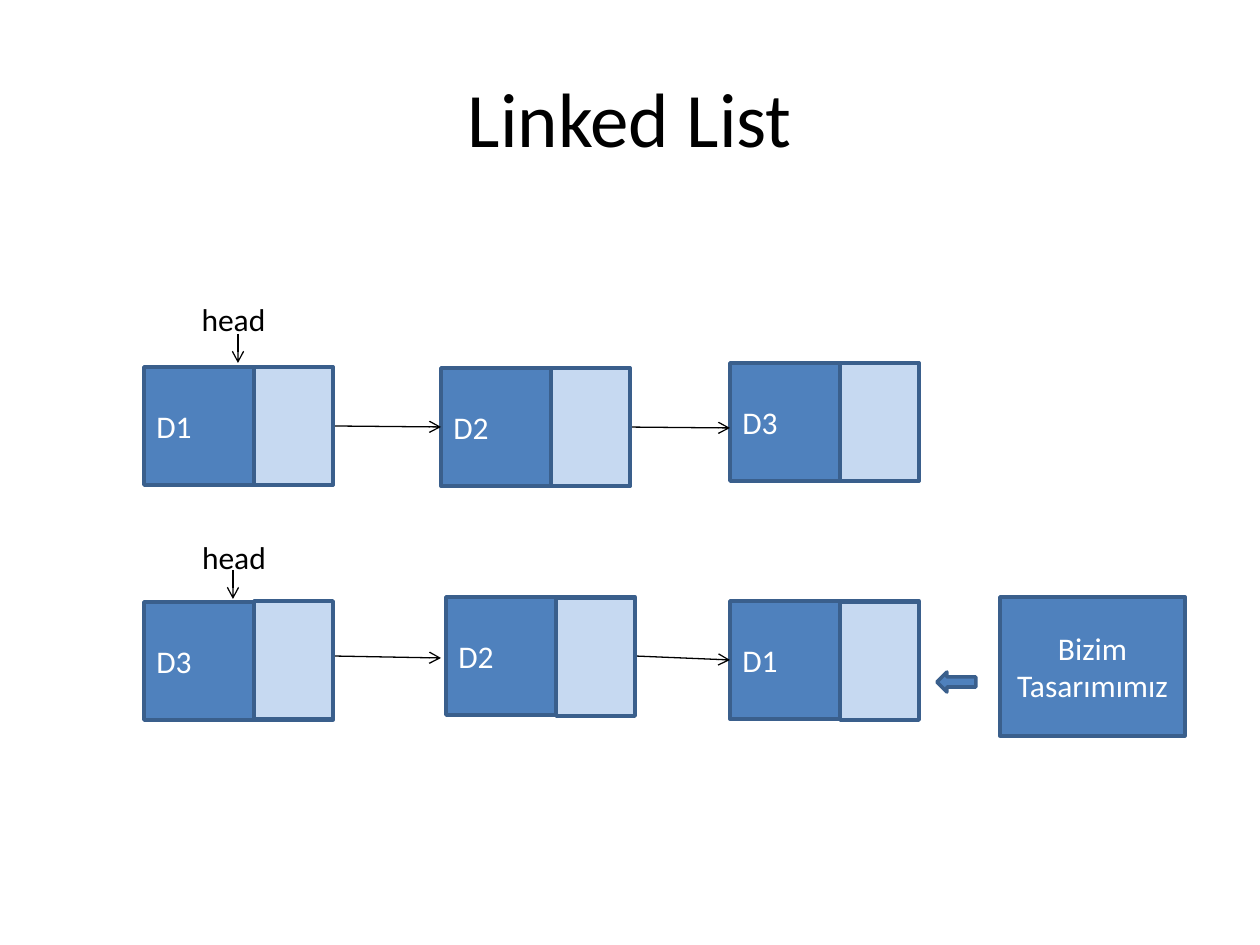
from dataclasses import dataclass
from lxml.etree import SubElement as Sub
from pptx import Presentation
from pptx.dml.color import RGBColor as Rgb
from pptx.enum.shapes import MSO_CONNECTOR as Wire, MSO_SHAPE as Kind
from pptx.enum.text import MSO_ANCHOR as Anchor, PP_ALIGN as Align
from pptx.oxml.ns import qn
from pptx.util import Pt

UNIT = 914400 / 126
NODE_W, NODE_H = 189, 118
LINK_X, LINK_W = 110, 79


@dataclass(frozen=True)
class Theme:
    font: str = "Calibri"
    node: str = "4F81BD"
    link: str = "C6D9F1"
    edge: str = "3A5F8C"
    light: str = "FFFFFF"
    dark: str = "000000"
    title: int = 44
    text: int = 18
    rule: float = 2
    wire: float = 0.75


LOOK = Theme()


def px(*vals):
    return [round(val * UNIT) for val in vals]


def put(item, form):
    for key, val in form.items():
        setattr(item, key, val)


def place(item, box):
    put(item, dict(zip(("left", "top", "width", "height"), px(*box))))


def write(frame, text, size, tint, align):
    put(frame, {"text": text, "word_wrap": True, "vertical_anchor": Anchor.MIDDLE})
    para = frame.paragraphs[0]
    para.alignment = align
    font = para.runs[0].font
    put(font, {"name": LOOK.font, "size": Pt(size)})
    font.color.rgb = Rgb.from_string(tint)


def add_title(slide, text, box):
    title = slide.shapes.title
    place(title, box)
    write(title.text_frame, text, LOOK.title, LOOK.dark, Align.CENTER)


def add_box(slide, box, fill=LOOK.node, edge=LOOK.edge, text="",
            tint=LOOK.light, align=Align.CENTER, kind=Kind.RECTANGLE):
    shape = slide.shapes.add_shape(kind, *px(*box))
    shape.shadow.inherit = False
    shape.fill.solid()
    shape.fill.fore_color.rgb = Rgb.from_string(fill)
    shape.line.color.rgb = Rgb.from_string(edge)
    shape.line.width = Pt(LOOK.rule)
    if text:
        write(shape.text_frame, text, LOOK.text, tint, align)
    return shape


def add_wire(slide, ends, start=None, stop=None):
    wire = slide.shapes.add_connector(Wire.STRAIGHT, *px(*ends))
    wire.line.color.rgb = Rgb.from_string(LOOK.dark)
    wire.line.width = Pt(LOOK.wire)
    Sub(wire.line._get_or_add_ln(), qn("a:tailEnd"), type="arrow")
    Sub(wire._element.spPr, qn("a:effectLst"))
    if start:
        wire.begin_connect(start, 3)
    if stop:
        wire.end_connect(stop, 1)


def add_list(slide, nodes, joined, loose):
    boxes = [add_box(slide, (x, y, NODE_W, NODE_H), text=name, align=Align.LEFT)
             for name, x, y, _ in nodes]
    _, left, top, _ = nodes[joined]
    _, far, low, _ = nodes[joined + 1]
    mid = NODE_H // 2
    ends = (left + NODE_W, top + mid, far, low + mid)
    add_wire(slide, ends, boxes[joined], boxes[joined + 1])
    add_wire(slide, loose)
    for _, x, _, y in nodes:
        add_box(slide, (x + LINK_X, y, LINK_W, NODE_H), LOOK.link)


def add_head(slide, box, x, y):
    add_box(slide, box, LOOK.light, LOOK.light, "head", LOOK.dark)
    add_wire(slide, (x, y, x, y + 29))


def main():
    deck = Presentation()
    deck.slide_width, deck.slide_height = px(1260, 945)
    slide = deck.slides.add_slide(deck.slide_layouts[5])
    add_title(slide, "Linked List", (63, 38, 1134, 157))
    first = [("D1", 144, 367, 367), ("D2", 441, 368, 368), ("D3", 730, 363, 363)]
    second = [("D3", 144, 602, 601), ("D2", 446, 597, 598), ("D1", 730, 601, 602)]
    add_list(slide, first, 0, (620, 427, 730, 428))
    add_list(slide, second, 1, (333, 656, 441, 658))
    add_head(slide, (144, 304, 179, 30), 238, 334)
    add_head(slide, (184, 542, 100, 30), 233, 570)
    add_box(slide, (1000, 597, 185, 139), text="Bizim Tasarımımız")
    add_box(slide, (937, 672, 39, 20), kind=Kind.LEFT_ARROW)
    deck.save("out.pptx")


if __name__ == "__main__":
    main()
